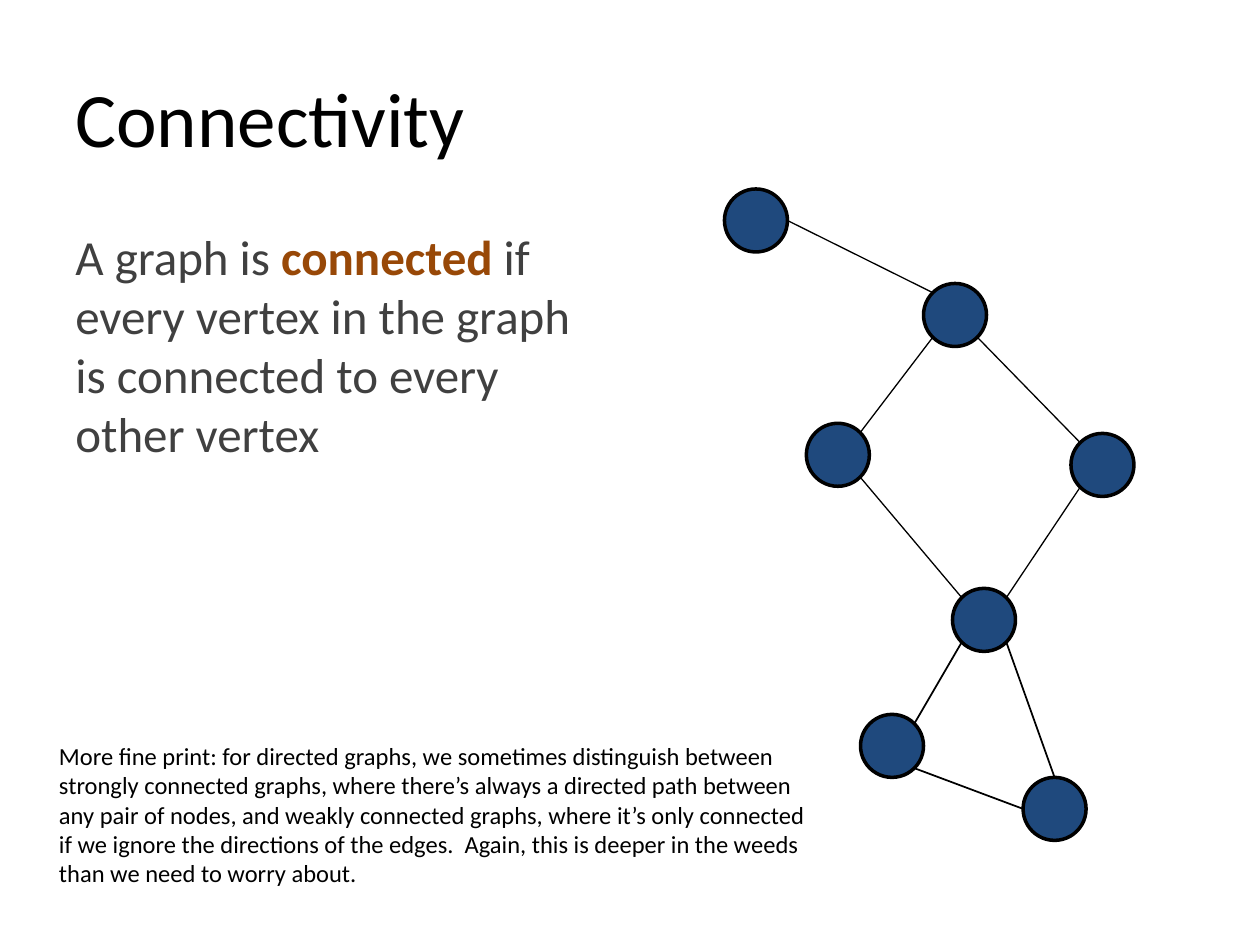
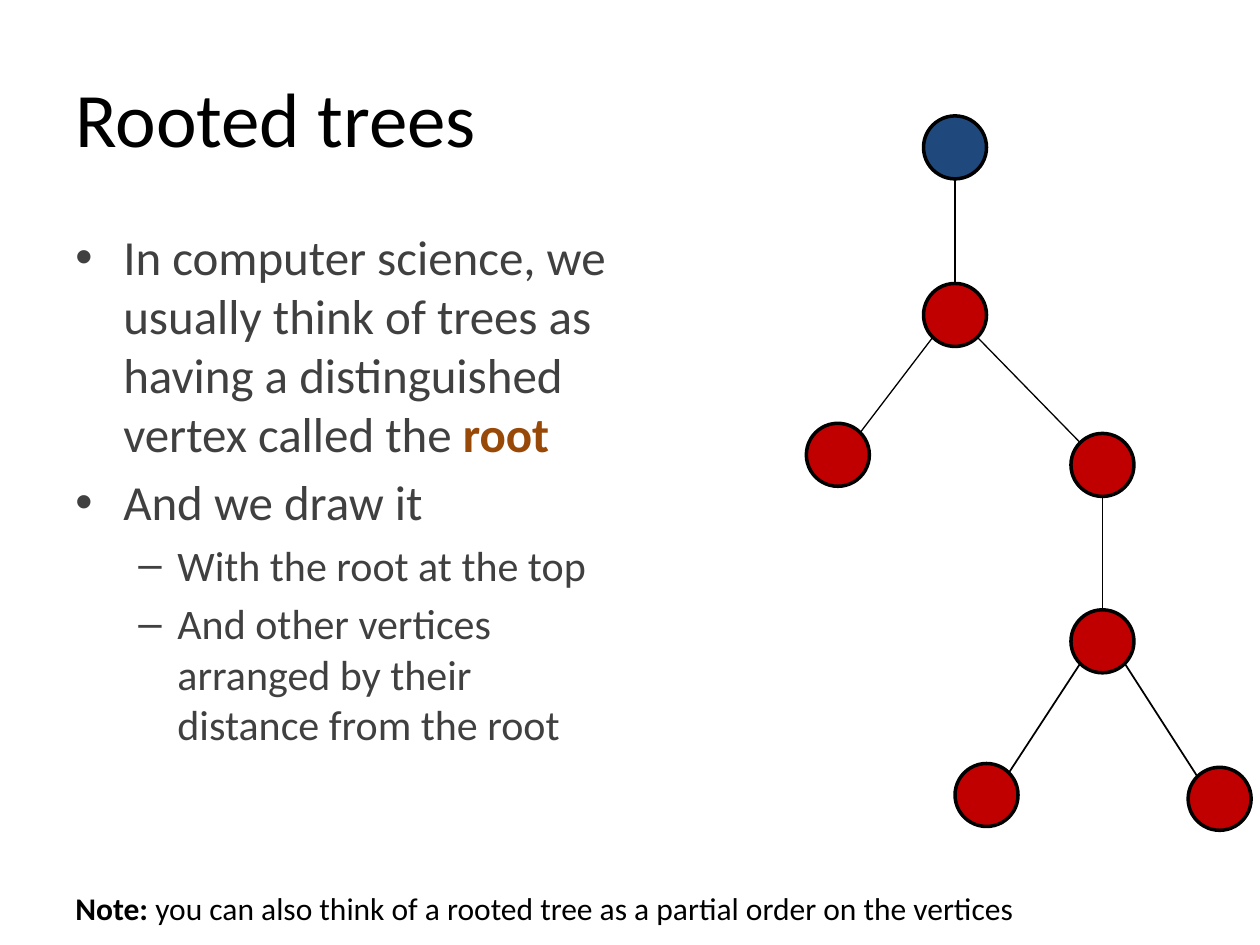
from dataclasses import dataclass
from math import sqrt

from lxml import etree
from pptx import Presentation
from pptx import util as u
from pptx.dml.color import RGBColor
from pptx.enum import shapes, text
from pptx.oxml import ns


@dataclass(frozen=True)
class Theme:
    font: str = "Calibri"
    ink: str = "000000"
    body: str = "404040"
    accent: str = "984807"
    blue: str = "1F497D"
    red: str = "C00000"
    title_size: int = 44
    level_sizes: tuple = (28, 24)
    fine_size: int = 14
    note_size: int = 18
    node_line: float = 2
    node_size: float = 0.5


THEME = Theme()
TITLE_BOX = (0.5, 0.3, 9, 1.25)
BULLETS = (("•", 0.38, -0.38), ("–", 0.81, -0.31))

# content
SLIDES = [
    {
        "title": "Connectivity",
        "body_box": (0.5, 1.75, 4.42, 4.95),
        "bulleted": False,
        "body": [
            (0, [("A graph is ", False), ("connected ", True),
                 ("if every vertex in the graph is connected to every other vertex", False)]),
        ],
        "nodes": {
            "start": (5.75, 1.5, THEME.blue),
            "top": (7.33, 2.25, THEME.blue),
            "left": (6.4, 3.36, THEME.blue),
            "right": (8.5, 3.44, THEME.blue),
            "hub": (7.56, 4.67, THEME.blue),
            "low left": (6.83, 5.67, THEME.blue),
            "low right": (8.12, 6.17, THEME.blue),
        },
        "edges": [
            ("start", "E", "top", "NW", 0.75),
            ("top", "SW", "left", "NE", 0.75),
            ("top", "SE", "right", "NW", 0.75),
            ("left", "SE", "hub", "NW", 0.75),
            ("right", "SW", "hub", "NE", 0.75),
            ("hub", "SW", "low left", "NE", 1),
            ("hub", "SE", "low right", "N", 1),
            ("low left", "SE", "low right", "W", 1),
        ],
        "note_box": (0.37, 5.83, 6.13, 1.28),
        "note_size": THEME.fine_size,
        "note_wrap": True,
        "note": [
            ("More fine print: for directed graphs, we sometimes distinguish between "
             "strongly connected graphs, where there’s always a directed path between "
             "any pair of nodes, and weakly connected graphs, where it’s only connected "
             "if we ignore the directions of the edges.  Again, this is deeper in the "
             "weeds than we need to worry about.", False),
        ],
    },
    {
        "title": "Rooted trees",
        "body_box": (0.5, 1.75, 4.42, 5.75),
        "bulleted": True,
        "body": [
            (0, [("In computer science, we usually think of trees as having a "
                  "distinguished vertex called the ", False), ("root", True)]),
            (0, [("And we draw it", False)]),
            (1, [("With the root at the top", False)]),
            (1, [("And other vertices arranged by their distance from the root", False)]),
        ],
        "nodes": {
            "root": (7.33, 0.92, THEME.blue),
            "child": (7.33, 2.25, THEME.red),
            "left": (6.4, 3.36, THEME.red),
            "right": (8.5, 3.44, THEME.red),
            "branch": (8.5, 4.84, THEME.red),
            "left leaf": (7.58, 6.06, THEME.red),
            "right leaf": (9.43, 6.09, THEME.red),
        },
        "edges": [
            ("root", "S", "child", "N", 0.75),
            ("child", "SW", "left", "NE", 0.75),
            ("child", "SE", "right", "NW", 0.75),
            ("right", "S", "branch", "N", 0.75),
            ("branch", "SW", "left leaf", "NE", 1),
            ("branch", "SE", "right leaf", "NW", 1),
        ],
        "note_box": (0.5, 7.01, 7.68, 0.4),
        "note_size": THEME.note_size,
        "note_wrap": False,
        "note": [
            ("Note:", True),
            (" you can also think of a rooted tree as a partial order on the vertices", False),
        ],
    },
]


def inches(values):
    return [u.Inches(value) for value in values]


def add_frame(slide, box, wrap=True, anchor=text.MSO_ANCHOR.TOP):
    frame = slide.shapes.add_textbox(*inches(box)).text_frame
    frame.word_wrap = wrap
    frame.vertical_anchor = anchor
    return frame


def add_run(paragraph, words, size, color, bold=False):
    run = paragraph.add_run()
    run.text = words
    run.font.name = THEME.font
    run.font.size = u.Pt(size)
    run.font.bold = bold
    run.font.color.rgb = RGBColor.from_string(color)


def add_bullet(paragraph, level):
    character, margin, indent = BULLETS[level]
    properties = paragraph._p.get_or_add_pPr()
    properties.set("marL", str(u.Inches(margin)))
    properties.set("indent", str(u.Inches(indent)))
    etree.SubElement(properties, ns.qn("a:buFont")).set("typeface", "Arial")
    etree.SubElement(properties, ns.qn("a:buChar")).set("char", character)


def add_body(slide, content):
    frame = add_frame(slide, content["body_box"])
    for index, (level, runs) in enumerate(content["body"]):
        paragraph = frame.add_paragraph() if index else frame.paragraphs[0]
        size = THEME.level_sizes[level]
        paragraph.level = level
        if content["bulleted"]:
            add_bullet(paragraph, level)
        if index:
            paragraph.space_before = u.Pt(0.2 * size)
        for words, key in runs:
            add_run(paragraph, words, size, THEME.accent if key else THEME.body, key)


def rim_point(node, direction):
    left, top, _ = node
    radius = THEME.node_size / 2
    reach = radius / sqrt(len(direction))
    across = ("E" in direction) - ("W" in direction)
    down = ("S" in direction) - ("N" in direction)
    return left + radius + across * reach, top + radius + down * reach


def add_graph(slide, nodes, edges):
    for left, top, fill in nodes.values():
        circle = slide.shapes.add_shape(
            shapes.MSO_SHAPE.OVAL,
            *inches((left, top, THEME.node_size, THEME.node_size)))
        circle.shadow.inherit = False
        circle.fill.solid()
        circle.fill.fore_color.rgb = RGBColor.from_string(fill)
        circle.line.color.rgb = RGBColor.from_string(THEME.ink)
        circle.line.width = u.Pt(THEME.node_line)
    for start, start_side, end, end_side, width in edges:
        ends = rim_point(nodes[start], start_side) + rim_point(nodes[end], end_side)
        edge = slide.shapes.add_connector(shapes.MSO_CONNECTOR.STRAIGHT, *inches(ends))
        edge.line.color.rgb = RGBColor.from_string(THEME.ink)
        edge.line.width = u.Pt(width)
        etree.SubElement(edge._element.spPr, ns.qn("a:effectLst"))


def add_note(slide, content):
    frame = add_frame(slide, content["note_box"], content["note_wrap"])
    frame.auto_size = text.MSO_AUTO_SIZE.SHAPE_TO_FIT_TEXT
    for words, bold in content["note"]:
        add_run(frame.paragraphs[0], words, content["note_size"], THEME.ink, bold)


def main():
    presentation = Presentation()
    presentation.slide_width = u.Inches(10)
    presentation.slide_height = u.Inches(7.5)
    for content in SLIDES:
        slide = presentation.slides.add_slide(presentation.slide_layouts[6])
        title = add_frame(slide, TITLE_BOX, anchor=text.MSO_ANCHOR.MIDDLE)
        add_run(title.paragraphs[0], content["title"], THEME.title_size, THEME.ink)
        add_body(slide, content)
        add_graph(slide, content["nodes"], content["edges"])
        add_note(slide, content)
    presentation.save("out.pptx")


if __name__ == "__main__":
    main()
